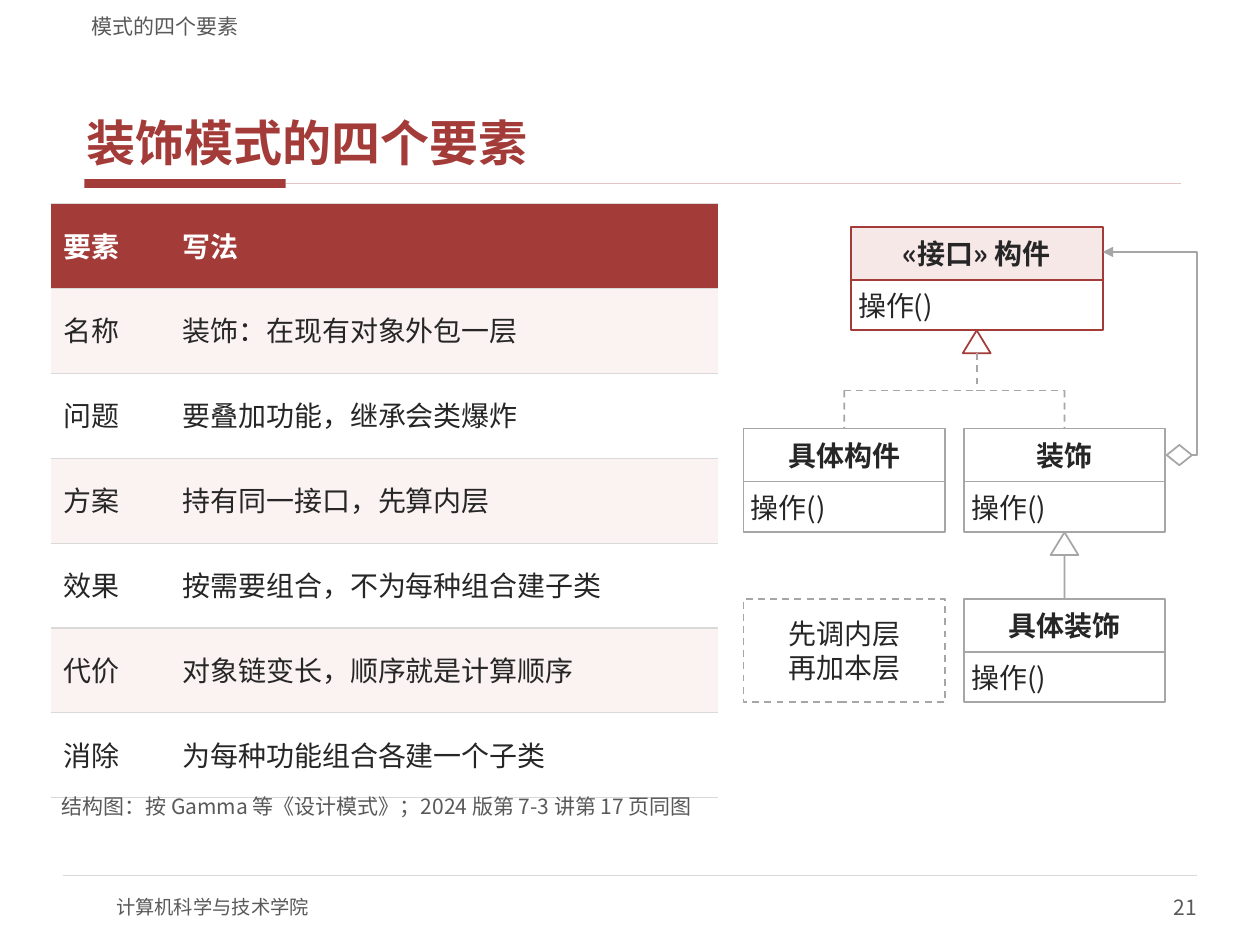
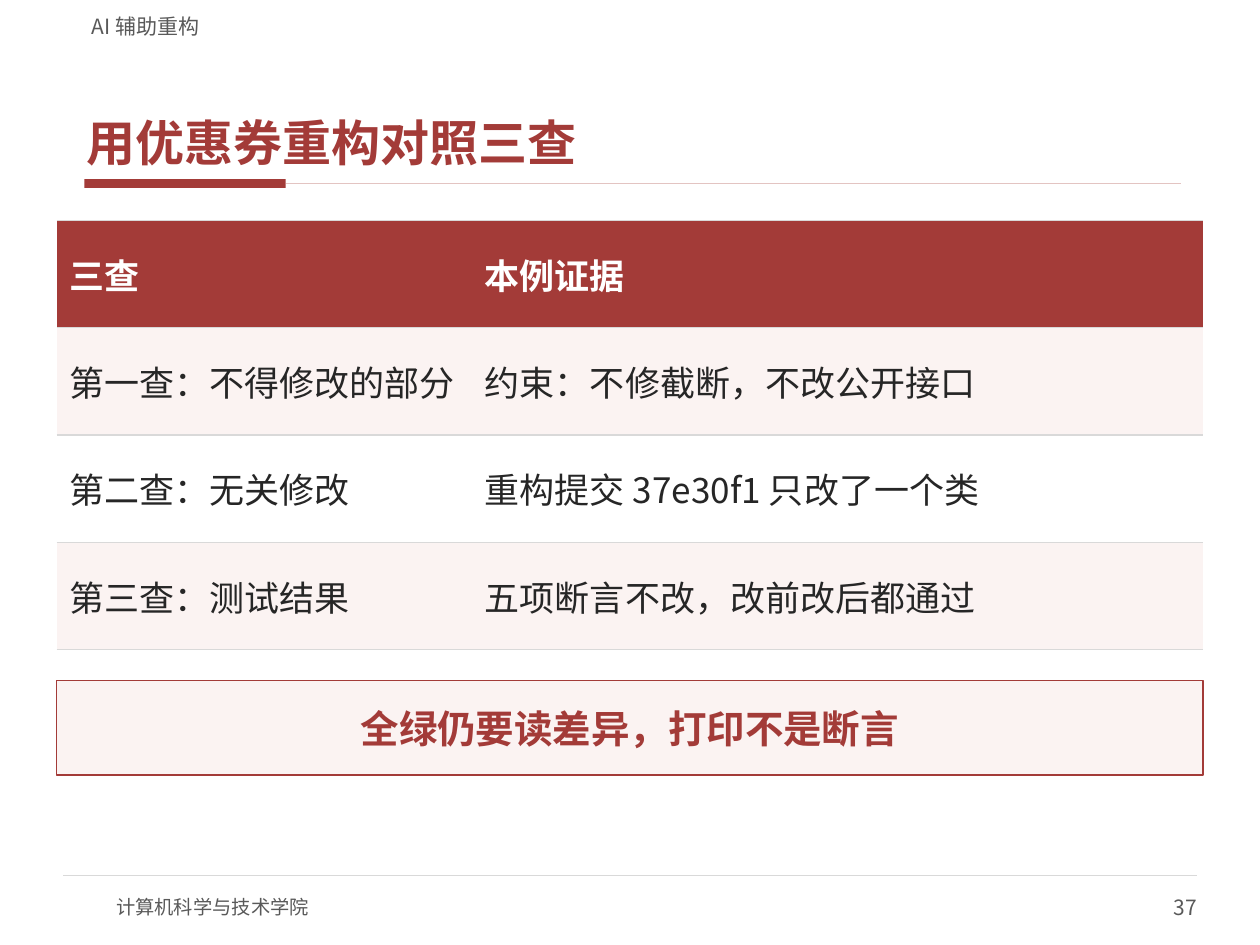
from lxml.etree import SubElement
from pptx import Presentation
from pptx.dml.color import RGBColor
from pptx.enum.dml import MSO_LINE
from pptx.enum.shapes import MSO_CONNECTOR, MSO_SHAPE
from pptx.enum.text import MSO_ANCHOR, MSO_AUTO_SIZE, PP_ALIGN
from pptx.oxml.ns import qn
from pptx.util import Cm, Pt

FACE = "Noto Sans CJK SC"
RED, ROSE, BLUSH, PALE = "A33B38", "E3C4C2", "F6E8E6", "FBF3F2"
WHITE, INK, GREY = "FFFFFF", "262626", "595959"
EDGE, RULE = "A6A6A6", "D9D9D9"
LEFT, MID, RIGHT = PP_ALIGN.LEFT, PP_ALIGN.CENTER, PP_ALIGN.RIGHT
HEAD, BODY = 1.07, 1.02  # heights of the two parts of a class box

PARTS = [
    ("要素", "写法"),
    ("名称", "装饰：在现有对象外包一层"),
    ("问题", "要叠加功能，继承会类爆炸"),
    ("方案", "持有同一接口，先算内层"),
    ("效果", "按需要组合，不为每种组合建子类"),
    ("代价", "对象链变长，顺序就是计算顺序"),
    ("消除", "为每种功能组合各建一个子类"),
]
CHECKS = [
    ("三查", "本例证据"),
    ("第一查：不得修改的部分", "约束：不修截断，不改公开接口"),
    ("第二查：无关修改", "重构提交 37e30f1 只改了一个类"),
    ("第三查：测试结果", "五项断言不改，改前改后都通过"),
]


def tint(code):
    return RGBColor.from_string(code)


def apply(item, **values):
    for name, value in values.items():
        setattr(item, name, value)


def write(frame, text, size, color=INK, bold=False, align=LEFT, **form):
    """Fill a text frame, one paragraph for each line of text."""
    frame.text = text
    for para in frame.paragraphs:
        apply(para, alignment=align, **form)
        for run in para.runs:
            apply(run.font, name=FACE, size=Pt(size), bold=bold)
            run.font.color.rgb = tint(color)
            SubElement(run._r.get_or_add_rPr(), qn("a:ea"), typeface=FACE)


def pad(frame, side, end, anchor=MSO_ANCHOR.MIDDLE):
    apply(frame, word_wrap=True, auto_size=MSO_AUTO_SIZE.NONE,
          vertical_anchor=anchor, margin_left=Cm(side),
          margin_right=Cm(side), margin_top=Cm(end), margin_bottom=Cm(end))


def ink(line, color, width=1, dash=False):
    line.color.rgb = tint(color)
    line.width = Pt(width)
    if dash:
        line.dash_style = MSO_LINE.DASH


def shape(slide, kind, x, y, w, h, fill=WHITE, edge=EDGE, dash=False):
    item = slide.shapes.add_shape(kind, Cm(x), Cm(y), Cm(w), Cm(h))
    item.shadow.inherit = False
    item.fill.solid()
    item.fill.fore_color.rgb = tint(fill)
    if edge:
        ink(item.line, edge, dash=dash)
    else:
        item.line.fill.background()
    return item


def panel(slide, text, at, size=16, inset=(0.2, 0.1), color=INK,
          bold=False, align=MID, **look):
    item = shape(slide, MSO_SHAPE.RECTANGLE, *at, **look)
    pad(item.text_frame, *inset)
    write(item.text_frame, text, size, color, bold, align)
    return item


def label(slide, text, at, size, inset=(0, 0), anchor=MSO_ANCHOR.MIDDLE,
          align=LEFT):
    box = slide.shapes.add_textbox(*map(Cm, at))
    pad(box.text_frame, *inset, anchor)
    write(box.text_frame, text, size, GREY, align=align)


def line(slide, start, end, color=EDGE, width=1, dash=False, to=None):
    """Draw a straight line, joined to the top of the box given as to."""
    item = slide.shapes.add_connector(
        MSO_CONNECTOR.STRAIGHT, *map(Cm, (*start, *end)))
    ink(item.line, color, width, dash)
    SubElement(item._element.spPr, qn("a:effectLst"))
    if to is not None:
        item.end_connect(to, 0)


def route(slide, points):
    """Draw an open bent line with an arrowhead at its end."""
    spots = [(Cm(x), Cm(y)) for x, y in points]
    pen = slide.shapes.build_freeform(*spots[0])
    pen.add_line_segments(spots[1:], close=False)
    item = pen.convert_to_shape()
    item.shadow.inherit = False
    item.fill.background()
    ink(item.line, EDGE)
    SubElement(item._element.spPr.find(qn("a:ln")), qn("a:tailEnd"),
               type="triangle")


def border(cell):
    """Rule a cell above and below only."""
    props = cell._tc.get_or_add_tcPr()
    for side in "LRTB":
        edge = SubElement(props, qn(f"a:ln{side}"), w=str(Pt(0.75)))
        if side in "LR":
            SubElement(edge, qn("a:noFill"))
        else:
            fill = SubElement(edge, qn("a:solidFill"))
            SubElement(fill, qn("a:srgbClr"), val=RULE)


def grid(slide, rows, x, y, widths, high, size, **form):
    table = slide.shapes.add_table(
        len(rows), len(widths), Cm(x), Cm(y),
        Cm(sum(widths)), Cm(high * len(rows))).table
    for col, width in zip(table.columns, widths):
        col.width = Cm(width)
    for r, texts in enumerate(rows):
        table.rows[r].height = Cm(high)
        back = RED if r == 0 else PALE if r % 2 else WHITE
        for c, text in enumerate(texts):
            cell = table.cell(r, c)
            border(cell)
            cell.fill.solid()
            cell.fill.fore_color.rgb = tint(back)
            cell.vertical_anchor = MSO_ANCHOR.MIDDLE
            write(cell.text_frame, text, size, INK if r else WHITE,
                  bold=r == 0, **form)


def klass(slide, name, mid, top, width=4.06, edge=EDGE, fill=WHITE):
    """Draw a class box and return its name part."""
    x = mid - width / 2
    inset = (0.15, 0.08)
    head = panel(slide, name, (x, top, width, HEAD), inset=inset,
                 bold=True, edge=edge, fill=fill)
    panel(slide, "操作()", (x, top + HEAD, width, BODY), inset=inset,
          align=LEFT, edge=edge)
    return head


def wedge(slide, mid, top, edge=EDGE):
    """Draw an inheritance arrowhead and return the height of its base."""
    shape(slide, MSO_SHAPE.ISOSCELES_TRIANGLE, mid - 0.28, top, 0.56, 0.46,
          edge=edge)
    return top + 0.46


def diagram(slide):
    root, left, right = 19.69, 17.02, 21.46
    top, middle, low, bus = 4.57, 8.64, 12.07, 7.87
    tall = HEAD + BODY
    klass(slide, "«接口» 构件", root, top, 5.08, RED, BLUSH)
    plain = klass(slide, "具体构件", left, middle)
    wrap = klass(slide, "装饰", right, middle)
    child = klass(slide, "具体装饰", right, low)
    panel(slide, "先调内层\n再加本层", (left - 2.03, low, 4.06, tall), dash=True)

    base = wedge(slide, root, top + tall, RED)
    line(slide, (root, base), (root, bus), dash=True)
    line(slide, (left, bus), (right, bus), dash=True)
    for mid, box in ((left, plain), (right, wrap)):
        line(slide, (mid, bus), (mid, middle), dash=True, to=box)

    base = wedge(slide, right, middle + tall)
    line(slide, (right, base), (right, low), to=child)
    shape(slide, MSO_SHAPE.DIAMOND, 23.52, 8.97, 0.51, 0.41)
    route(slide, [(24.03, 9.17), (24.13, 9.17), (24.13, 5.08), (22.23, 5.08)])


def page(deck, title, topic, number):
    """Add a slide with the title, rules and footer all slides share."""
    slide = deck.slides.add_slide(deck.slide_layouts[5])
    shape(slide, MSO_SHAPE.RECTANGLE, 1.7, 3.61, 4.06, 0.18, RED, None)
    line(slide, (5.77, 3.7), (23.8, 3.7), ROSE)
    line(slide, (1.27, 17.65), (24.13, 17.65), RULE, 0.75)
    label(slide, "计算机科学与技术学院", (2.34, 17.78, 10.16, 1.02), 11)
    label(slide, number, (19.05, 17.78, 5.08, 1.02), 12, align=RIGHT)
    label(slide, topic, (1.6, 0.1, 22.23, 0.69), 12, (0.25, 0),
          MSO_ANCHOR.BOTTOM)
    head = slide.shapes.title
    apply(head, left=Cm(1.6), top=Cm(0.84), width=Cm(22.23), height=Cm(2.67))
    pad(head.text_frame, 0.15, 0.05, MSO_ANCHOR.BOTTOM)
    write(head.text_frame, title, 28, RED, True, space_after=Pt(2))
    return slide


def main():
    deck = Presentation()
    apply(deck, slide_width=Cm(25.4), slide_height=Cm(19.05))

    slide = page(deck, "装饰模式的四个要素", "模式的四个要素", "21")
    grid(slide, PARTS, 1.02, 4.11, (2.41, 11.05), 1.71, 16,
         line_spacing=0.9, space_after=Pt(2))
    diagram(slide)
    label(slide, "结构图：按 Gamma 等《设计模式》；2024 版第 7-3 讲第 17 页同图",
          (1.14, 16, 23.11, 0.56), 12, (0.1, 0.05), MSO_ANCHOR.BOTTOM)

    slide = page(deck, "用优惠券重构对照三查", "AI 辅助重构", "37")
    grid(slide, CHECKS, 1.14, 4.45, (8.38, 14.73), 2.16, 20)
    panel(slide, "全绿仍要读差异，打印不是断言", (1.14, 13.72, 23.11, 1.9), 22,
          color=RED, bold=True, fill=PALE, edge=RED)
    deck.save("out.pptx")


if __name__ == "__main__":
    main()
